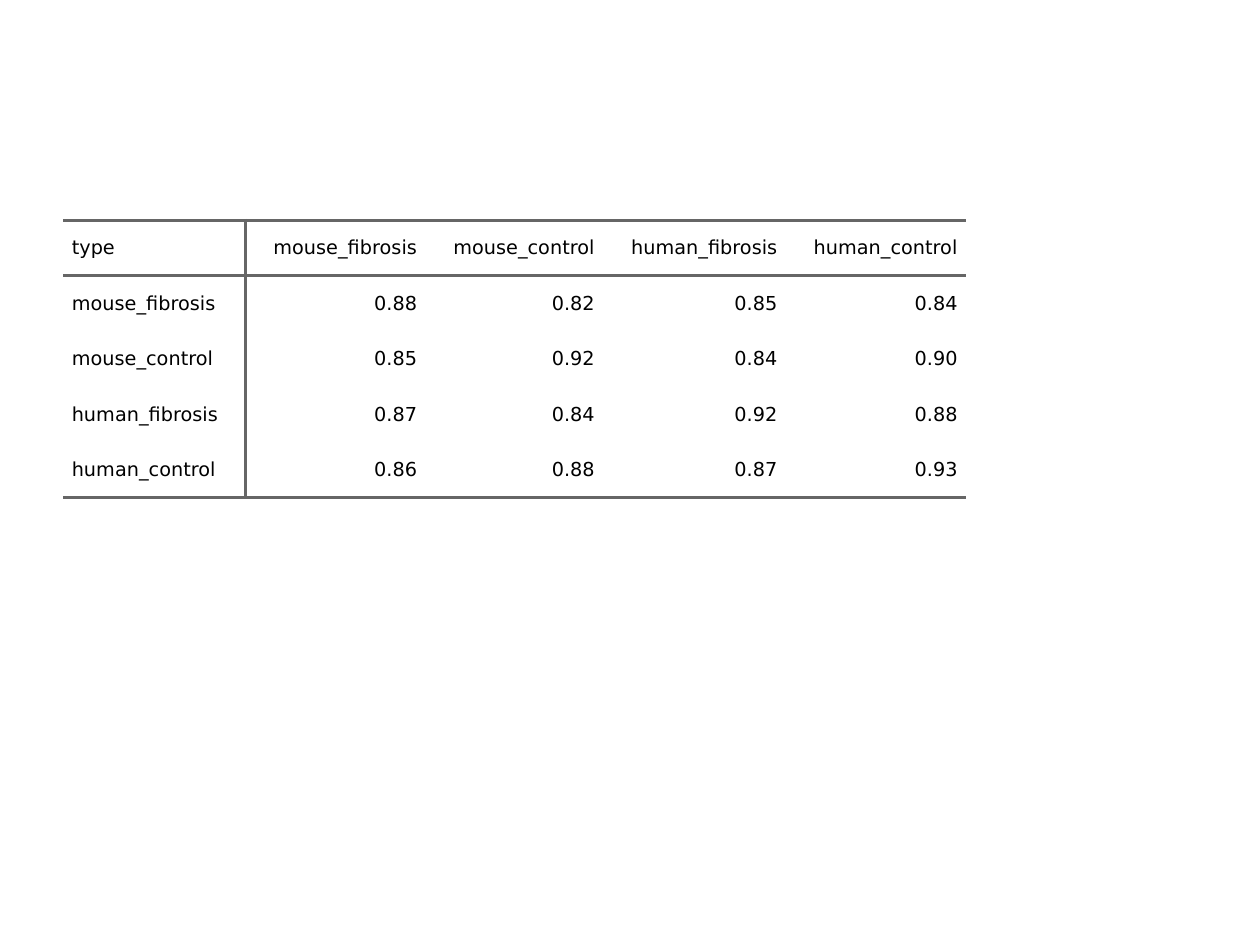
from dataclasses import dataclass

from lxml import etree
from pptx import Presentation, util as u
from pptx.dml.color import RGBColor
from pptx.enum import text
from pptx.oxml import ns


@dataclass(frozen=True)
class Theme:
    font: str = "DejaVu Sans"
    size: float = 11
    ink: str = "000000"
    rule: str = "666666"
    rule_width: float = 2
    padding: float = 0.07
    spacing: float = 5


THEME = Theme()
SLIDE_W, SLIDE_H = 10, 7.5
LEFT, TOP = 0.05 * SLIDE_W, 1.75
COL_WIDTHS = [1.45, 1.43, 1.41, 1.45, 1.43]
ROW_HEIGHT = 0.44

TYPES = ["mouse_fibrosis", "mouse_control", "human_fibrosis", "human_control"]
SCORES = [
    [0.88, 0.82, 0.85, 0.84],
    [0.85, 0.92, 0.84, 0.90],
    [0.87, 0.84, 0.92, 0.88],
    [0.86, 0.88, 0.87, 0.93],
]


def set_borders(cell, ruled):
    """Rule the sides named in ruled (L, R, T, B) and clear the others."""
    props = cell._tc.get_or_add_tcPr()
    for i, side in enumerate("LRTB"):
        ln = etree.Element(ns.qn(f"a:ln{side}"))
        if side in ruled:
            ln.set("w", str(u.Pt(THEME.rule_width)))
            fill = etree.SubElement(ln, ns.qn("a:solidFill"))
            etree.SubElement(fill, ns.qn("a:srgbClr"), val=THEME.rule)
        else:
            ln.set("w", "0")
            etree.SubElement(ln, ns.qn("a:noFill"))
        props.insert(i, ln)


def write_cell(cell, value, align):
    cell.fill.background()
    cell.vertical_anchor = text.MSO_ANCHOR.MIDDLE
    cell.margin_left = cell.margin_right = u.Inches(THEME.padding)
    cell.margin_top = cell.margin_bottom = 0
    p = cell.text_frame.paragraphs[0]
    p.text = value
    p.alignment = align
    p.space_before = p.space_after = u.Pt(THEME.spacing)
    font = p.runs[0].font
    font.name, font.size = THEME.font, u.Pt(THEME.size)
    font.color.rgb = RGBColor.from_string(THEME.ink)


def ruled_sides(row, col, last_row):
    """Rules frame the header row, close the table and set off the labels."""
    sides = {"R"} if col == 0 else {"L"} if col == 1 else set()
    if row == 0:
        sides |= {"T", "B"}
    if row == 1:
        sides.add("T")
    if row == last_row:
        sides.add("B")
    return sides


def add_score_table(s, rows):
    table = s.shapes.add_table(
        len(rows), len(COL_WIDTHS), u.Inches(LEFT), u.Inches(TOP),
        u.Inches(sum(COL_WIDTHS)), u.Inches(ROW_HEIGHT * len(rows))).table
    table.first_row = table.horz_banding = False
    for column, width in zip(table.columns, COL_WIDTHS):
        column.width = u.Inches(width)
    for r, values in enumerate(rows):
        table.rows[r].height = u.Inches(ROW_HEIGHT)
        for c, value in enumerate(values):
            align = text.PP_ALIGN.RIGHT if c else text.PP_ALIGN.LEFT
            cell = table.cell(r, c)
            write_cell(cell, value, align)
            set_borders(cell, ruled_sides(r, c, len(rows) - 1))


def main():
    prs = Presentation()
    prs.slide_width, prs.slide_height = u.Inches(SLIDE_W), u.Inches(SLIDE_H)
    s = prs.slides.add_slide(prs.slide_layouts[6])

    # Table of scores by type
    body = [[name] + [f"{score:.2f}" for score in scores]
            for name, scores in zip(TYPES, SCORES)]
    add_score_table(s, [["type"] + TYPES] + body)

    prs.save("out.pptx")


main()
